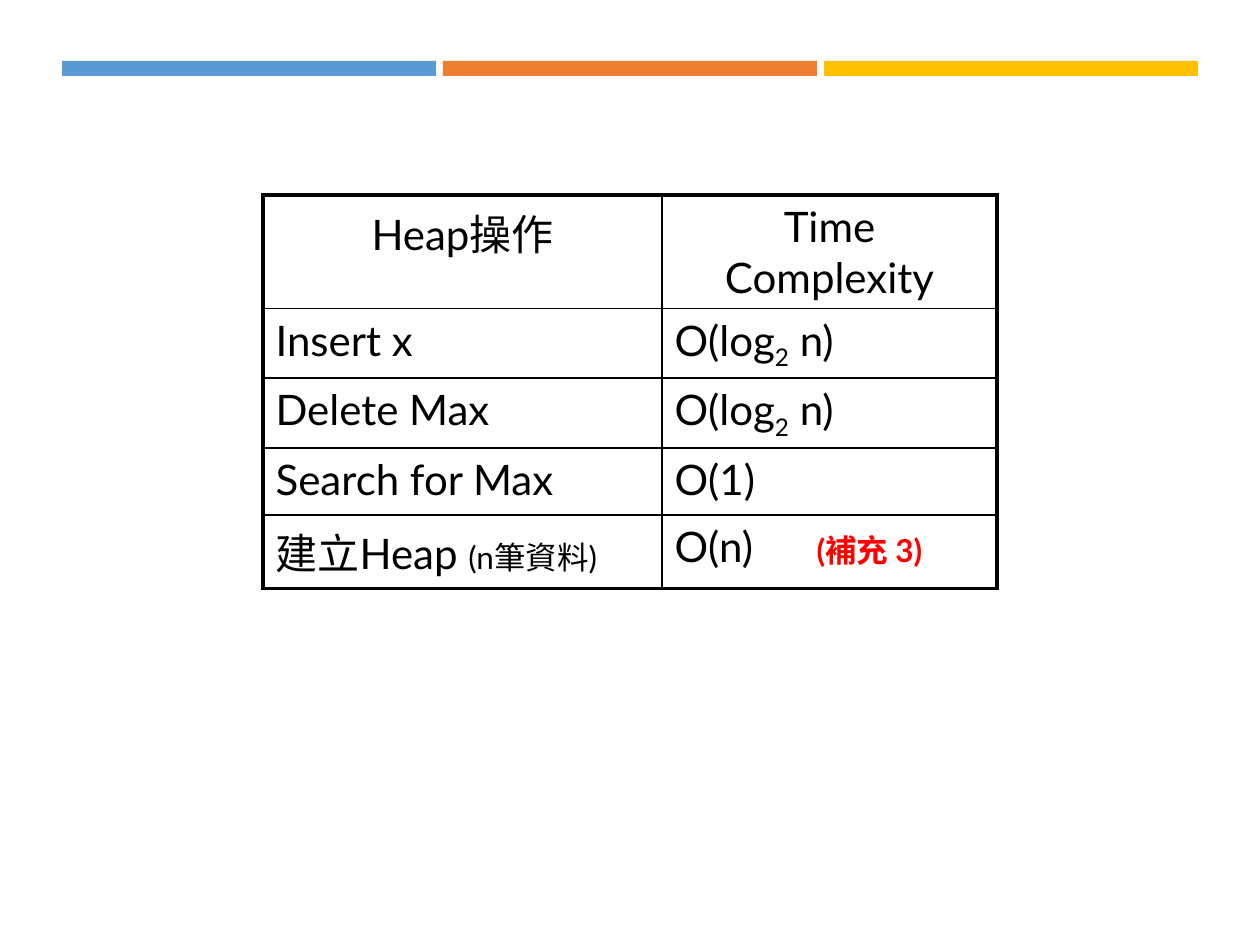
"""Build a slide with a table of heap operations and their time complexity."""
import pptx
import pptx.dml.color
import pptx.enum.shapes
import pptx.enum.text
import pptx.oxml
import pptx.oxml.ns
import pptx.util
from lxml import etree

COLORS = {
    "blue": "5B9BD5",
    "orange": "ED7D31",
    "yellow": "FFC000",
    "black": "000000",
    "red": "FF0000",
}
PX = 914400 // 126
THIN, THICK = 1, 2.25
SMALL = {"size": 18}
NOTE = {"size": 18, "bold": True, "color": "red"}
SUBSCRIPT = {"baseline": -25000}
LOG_N = [("O(log", {}), ("2", SUBSCRIPT), (" n)", {})]
ROWS = [
    [[("Heap操作", {})], [("Time Complexity", {})]],
    [[("Insert x", {})], LOG_N],
    [[("Delete Max", {})], LOG_N],
    [[("Search for Max", {})], [("O(1)", {})]],
    [[("建立Heap ", {}), ("(n筆資料)", SMALL)], [("O(n)\t", {}), ("(補充 3)", NOTE)]],
]
COLUMN_WIDTHS = [399, 335]
ROW_HEIGHTS = [63, 63, 67, 67, 67]
NOTE_TAB = 142


def rgb(name):
    return pptx.dml.color.RGBColor.from_string(COLORS[name])


class SlideBuilder:
    def __init__(self, presentation):
        self.slide = presentation.slides.add_slide(presentation.slide_layouts[6])
        self.text_format = {"name": "Lato", "size": 24, "bold": False, "color": "black"}

    def bar(self, left, top, width, height, color):
        shape = self.slide.shapes.add_shape(
            pptx.enum.shapes.MSO_SHAPE.RECTANGLE,
            *(value * PX for value in (left, top, width, height)))
        shape.shadow.inherit = False
        shape.fill.solid()
        shape.fill.fore_color.rgb = rgb(color)
        shape.line.fill.background()

    def run(self, paragraph, text, changes):
        run = paragraph.add_run()
        run.text = text
        values = {**self.text_format, **changes}
        run.font.color.rgb = rgb(values.pop("color"))
        values["size"] = pptx.util.Pt(values["size"])
        baseline = values.pop("baseline", None)
        for attribute, value in values.items():
            setattr(run.font, attribute, value)
        if baseline:
            run._r.get_or_add_rPr().set("baseline", str(baseline))

    def tab_stop(self, paragraph, position):
        properties = paragraph._p.get_or_add_pPr()
        tabs = etree.SubElement(properties, pptx.oxml.ns.qn("a:tabLst"))
        etree.SubElement(tabs, pptx.oxml.ns.qn("a:tab"), pos=str(position * PX), algn="l")

    def borders(self, cell, widths):
        properties = cell._tc.get_or_add_tcPr()
        for side, width in widths.items():
            properties.append(pptx.oxml.parse_xml(
                f'<a:ln{side} {pptx.oxml.ns.nsdecls("a")} w="{pptx.util.Pt(width)}">'
                f'<a:solidFill><a:srgbClr val="{COLORS["black"]}"/></a:solidFill></a:ln{side}>'))

    def table(self, left, top, column_widths, row_heights, rows):
        frame = self.slide.shapes.add_table(
            len(rows), len(column_widths), left * PX, top * PX,
            sum(column_widths) * PX, sum(row_heights) * PX)
        table = frame.table
        table.first_row = table.horz_banding = False
        for column, width in zip(table.columns, column_widths):
            column.width = width * PX
        last_row, last_column = len(rows) - 1, len(column_widths) - 1
        for row_index, row in enumerate(rows):
            table.rows[row_index].height = row_heights[row_index] * PX
            for column_index, runs in enumerate(row):
                cell = table.cell(row_index, column_index)
                outer = {
                    "L": column_index == 0,
                    "R": column_index == last_column,
                    "T": row_index == 0,
                    "B": row_index == last_row,
                }
                self.borders(cell, {side: THICK if edge else THIN for side, edge in outer.items()})
                cell.fill.background()
                paragraph = cell.text_frame.paragraphs[0]
                if row_index == 0:
                    paragraph.alignment = pptx.enum.text.PP_ALIGN.CENTER
                if any("\t" in text for text, _ in runs):
                    self.tab_stop(paragraph, NOTE_TAB)
                for text, changes in runs:
                    self.run(paragraph, text, changes)


def main():
    presentation = pptx.Presentation()
    presentation.slide_width = 1260 * PX
    presentation.slide_height = 945 * PX
    builder = SlideBuilder(presentation)
    for index, color in enumerate(("blue", "orange", "yellow")):
        builder.bar(62 + index * 381, 61, 374, 15, color)
    builder.table(263, 195, COLUMN_WIDTHS, ROW_HEIGHTS, ROWS)
    presentation.save("out.pptx")


if __name__ == "__main__":
    main()
